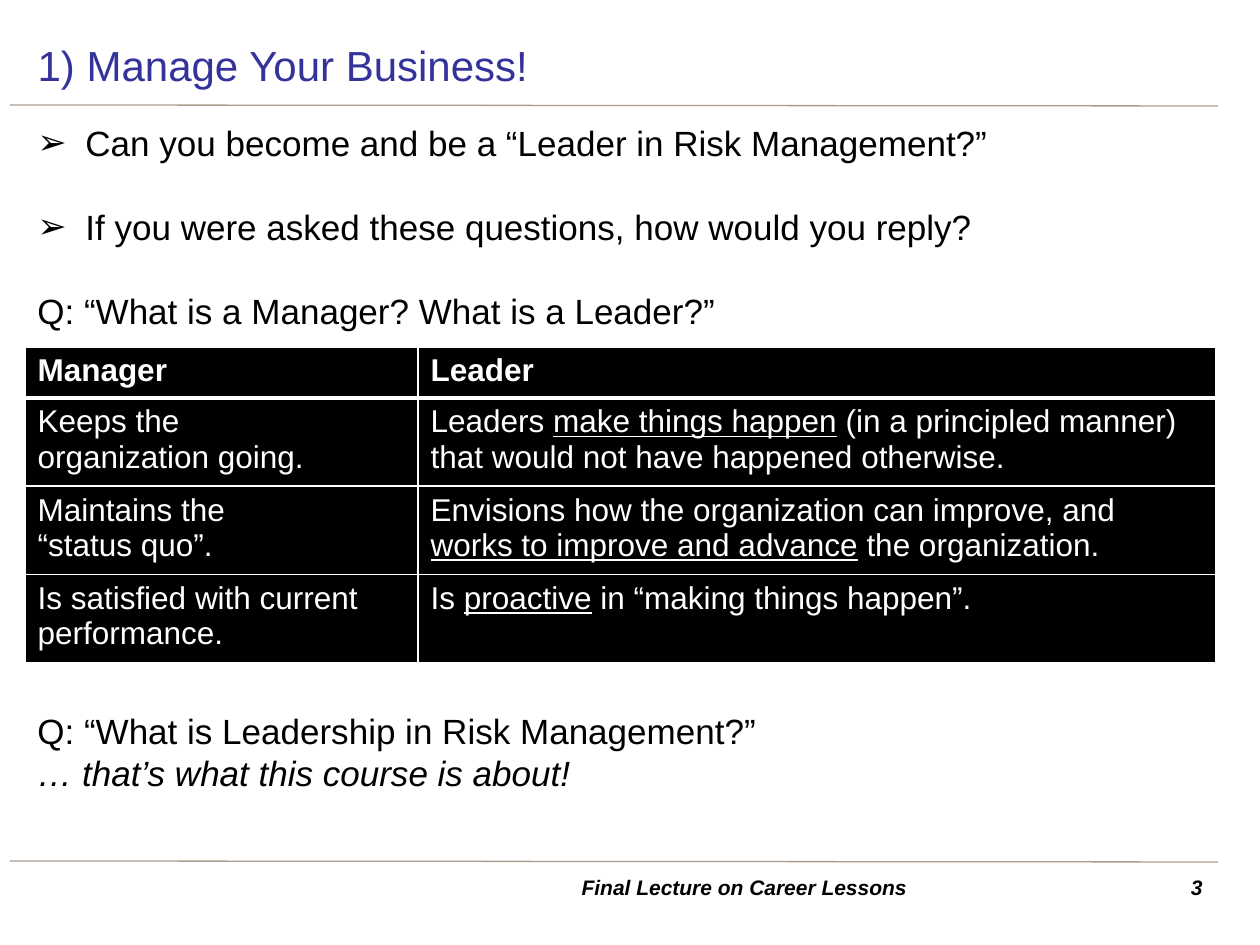
from dataclasses import dataclass

from lxml import etree
from pptx import Presentation
from pptx.dml.color import RGBColor
from pptx.enum.shapes import MSO_CONNECTOR
from pptx.enum.text import MSO_ANCHOR, MSO_AUTO_SIZE, PP_ALIGN
from pptx.oxml.ns import qn
from pptx.util import Emu, Pt

PX_PER_INCH = 126
TITLE_ONLY = 5
FONT = "Arial"
BLACK = RGBColor(0x00, 0x00, 0x00)
WHITE = RGBColor(0xFF, 0xFF, 0xFF)
INDIGO = RGBColor(0x33, 0x33, 0x99)
TAUPE = RGBColor(0xAA, 0x9C, 0x8F)
STRAIGHT = MSO_CONNECTOR.STRAIGHT
TOP, MIDDLE = MSO_ANCHOR.TOP, MSO_ANCHOR.MIDDLE
LEFT, CENTER, RIGHT = PP_ALIGN.LEFT, PP_ALIGN.CENTER, PP_ALIGN.RIGHT
NO_AUTOFIT = MSO_AUTO_SIZE.NONE

LINE_PITCH = 24  # points
BULLET_INDENT = 48


@dataclass(frozen=True)
class Box:
    left: int
    top: int
    width: int
    height: int


@dataclass(frozen=True)
class BodyLine:
    text: str
    lines_before: int = 0
    bullet: bool = False
    italic: bool = False


BODY_LINES = [
    BodyLine("Can you become and be a “Leader in Risk Management?”", bullet=True),
    BodyLine("If you were asked these questions, how would you reply?", 1, bullet=True),
    BodyLine("Q: “What is a Manager? What is a Leader?”", 1),
    BodyLine("Q: “What is Leadership in Risk Management?”", 9),
    BodyLine("… that’s what this course is about!", italic=True),
]

# Underscores enclose underlined words; \v is a line break
TABLE_ROWS = [
    ("Manager", "Leader"),
    ("Keeps the\vorganization going.",
     "Leaders _make things happen_ (in a principled manner) "
     "that would not have happened otherwise."),
    ("Maintains the\v“status quo”.",
     "Envisions how the organization can improve, and "
     "_works to improve and advance_ the organization."),
    ("Is satisfied with current performance.",
     "Is _proactive_ in “making things happen”."),
]
COLUMN_WIDTHS = (393, 798)
HEADER_HEIGHT, ROW_HEIGHT = 51, 83


def px(length: int) -> Emu:
    return Emu(round(length * 914400 / PX_PER_INCH))


def place(box: Box) -> tuple:
    return px(box.left), px(box.top), px(box.width), px(box.height)


def style_runs(paragraph, size: int, color: RGBColor, bold=False, italic=False) -> None:
    for run in paragraph.runs:
        font = run.font
        font.name, font.size = FONT, Pt(size)
        font.bold, font.italic = bold, italic
        font.color.rgb = color


def add_rule(slide, top: int) -> None:
    rule = slide.shapes.add_connector(STRAIGHT, px(10), px(top), px(1218), px(top + 1))
    rule.line.color.rgb = TAUPE
    rule.line.width = Pt(0.75)
    etree.SubElement(rule._element.spPr, qn("a:effectLst"))


def add_label(slide, box: Box, text: str, alignment, anchor) -> None:
    text_frame = slide.shapes.add_textbox(*place(box)).text_frame
    text_frame.word_wrap = True
    text_frame.vertical_anchor = anchor
    text_frame.text = text
    paragraph = text_frame.paragraphs[0]
    paragraph.alignment = alignment
    style_runs(paragraph, 12, BLACK, bold=True, italic=True)


def set_title(slide, box: Box, text: str) -> None:
    title = slide.shapes.title
    title.left, title.top, title.width, title.height = place(box)
    text_frame = title.text_frame
    text_frame.text = text
    text_frame.auto_size = NO_AUTOFIT
    text_frame.vertical_anchor = MIDDLE
    paragraph = text_frame.paragraphs[0]
    paragraph.alignment = LEFT
    style_runs(paragraph, 24, INDIGO)


def add_bullet(paragraph) -> None:
    properties = paragraph._p.get_or_add_pPr()
    properties.set("marL", str(px(BULLET_INDENT)))
    properties.set("indent", str(-px(BULLET_INDENT)))
    etree.SubElement(properties, qn("a:buFont"), typeface=FONT)
    etree.SubElement(properties, qn("a:buChar"), char="➢")


def add_body(slide, box: Box, lines: list[BodyLine]) -> None:
    text_frame = slide.shapes.add_textbox(*place(box)).text_frame
    text_frame.word_wrap = True
    text_frame.text = "\n".join(line.text for line in lines)
    for paragraph, line in zip(text_frame.paragraphs, lines):
        if line.bullet:
            add_bullet(paragraph)
        paragraph.line_spacing = Pt(LINE_PITCH)
        if line.lines_before:
            paragraph.space_before = Pt(LINE_PITCH * line.lines_before)
        style_runs(paragraph, 20, BLACK, italic=line.italic)


def set_border(cell, side: str, width: int) -> None:
    border = etree.SubElement(cell._tc.get_or_add_tcPr(), qn(f"a:ln{side}"), w=str(Pt(width)))
    fill = etree.SubElement(border, qn("a:solidFill"))
    etree.SubElement(fill, qn("a:srgbClr"), val=str(WHITE))


def fill_cell(cell, text: str, row: int) -> None:
    # Borders come before the fill in the cell properties
    for side in "LRTB":
        at_header_rule = (row, side) in ((0, "B"), (1, "T"))
        set_border(cell, side, 3 if at_header_rule else 1)
    cell.fill.solid()
    cell.fill.fore_color.rgb = BLACK

    paragraph = cell.text_frame.paragraphs[0]
    first, *others = text.split("_")
    paragraph.text = first
    for index, piece in enumerate(others):
        run = paragraph.add_run()
        run.text = piece
        run.font.underline = index % 2 == 0
    style_runs(paragraph, 18, WHITE, bold=row == 0)


def add_comparison(slide, left: int, top: int) -> None:
    heights = [HEADER_HEIGHT] + [ROW_HEIGHT] * (len(TABLE_ROWS) - 1)
    box = Box(left, top, sum(COLUMN_WIDTHS), sum(heights))
    table = slide.shapes.add_table(len(heights), len(COLUMN_WIDTHS), *place(box)).table
    table.horz_banding = False
    for column, width in zip(table.columns, COLUMN_WIDTHS):
        column.width = px(width)
    for row, (height, texts) in enumerate(zip(heights, TABLE_ROWS)):
        table.rows[row].height = px(height)
        for column, text in enumerate(texts):
            fill_cell(table.cell(row, column), text, row)


def main() -> None:
    presentation = Presentation()
    presentation.slide_width, presentation.slide_height = px(1260), px(945)
    slide = presentation.slides.add_slide(presentation.slide_layouts[TITLE_ONLY])

    # Rules under the title and above the footer
    for top in (105, 861):
        add_rule(slide, top)

    # Title, body and table
    set_title(slide, Box(25, 30, 1191, 69), "1) Manage Your Business!")
    add_body(slide, Box(25, 115, 1191, 735), BODY_LINES)
    add_comparison(slide, 25, 347)

    # Footer
    add_label(slide, Box(1142, 868, 73, 39), "3", RIGHT, TOP)
    add_label(slide, Box(372, 868, 745, 39), "Final Lecture on Career Lessons", CENTER, MIDDLE)

    presentation.save("out.pptx")


if __name__ == "__main__":
    main()
